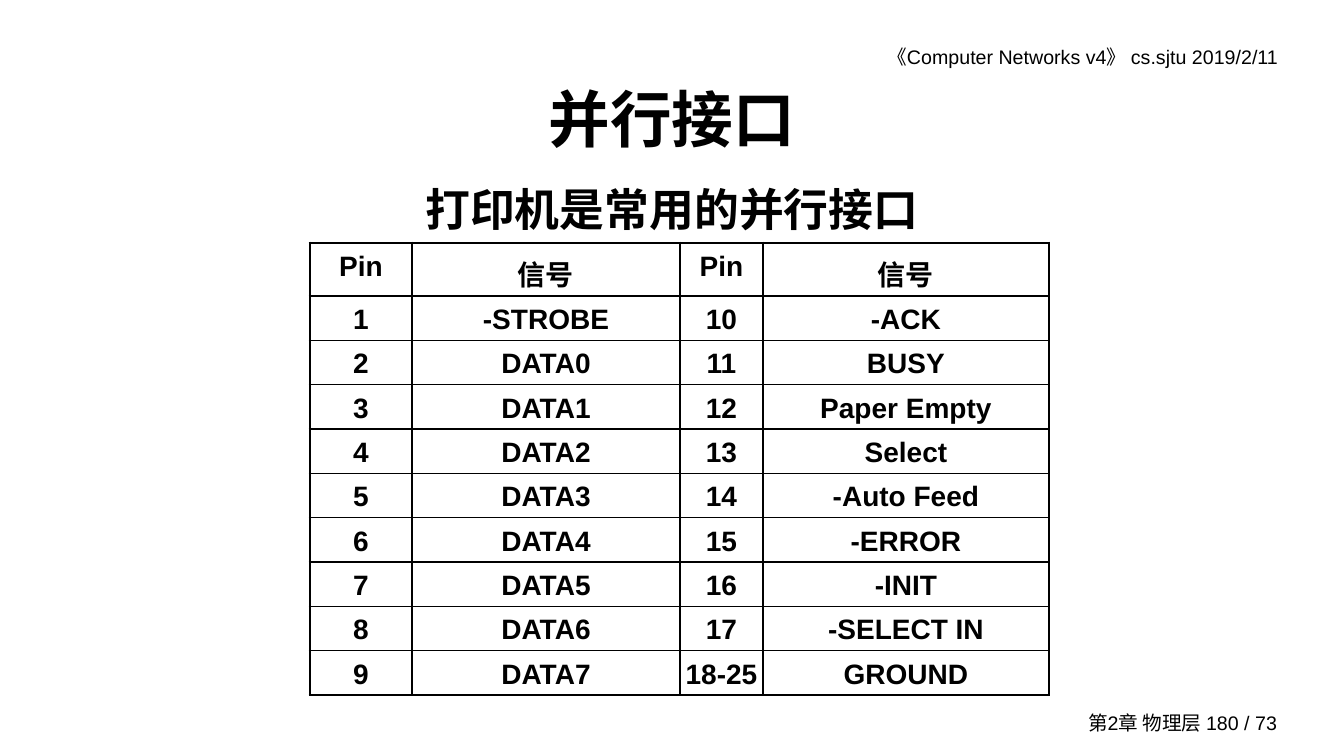
from lxml.etree import SubElement
from pptx import Presentation
from pptx.dml.color import RGBColor
from pptx.enum.text import MSO_ANCHOR as Anchor, PP_ALIGN as Align
from pptx.oxml.ns import qn
from pptx.util import Emu, Pt

SLIDE_SIZE = (1344, 756)
FONT = "Arial"
COLORS = {"ink": "000000", "paper": "FFFFFF"}

# text, (left, top, width, height), size, bold, alignment, anchor
TEXTS = [
    ("《Computer Networks v4》 cs.sjtu 2019/2/11", (709, 40, 579, 34),
     14, False, Align.RIGHT, Anchor.TOP),
    ("第2章 物理层 180 / 73", (984, 706, 303, 33),
     14, False, Align.RIGHT, Anchor.MIDDLE),
    ("并行接口", (244, 67, 856, 101), 44, True, Align.CENTER, Anchor.MIDDLE),
    ("打印机是常用的并行接口", (336, 177, 672, 67),
     32, True, Align.CENTER, Anchor.TOP),
]

PINS = [
    ("Pin", "信号", "Pin", "信号"),
    ("1", "-STROBE", "10", "-ACK"),
    ("2", "DATA0", "11", "BUSY"),
    ("3", "DATA1", "12", "Paper Empty"),
    ("4", "DATA2", "13", "Select"),
    ("5", "DATA3", "14", "-Auto Feed"),
    ("6", "DATA4", "15", "-ERROR"),
    ("7", "DATA5", "16", "-INIT"),
    ("8", "DATA6", "17", "-SELECT IN"),
    ("9", "DATA7", "18-25", "GROUND"),
]
TABLE_LEFT, TABLE_TOP = 310, 243
COLUMN_WIDTHS = (102, 268, 83, 286)
HEADER_HEIGHT, ROW_HEIGHT = 53, 44
ROW_HEIGHTS = [HEADER_HEIGHT] + [ROW_HEIGHT] * (len(PINS) - 1)
CELL_MARGIN = 2
OUTER_LINE, INNER_LINE = 2.25, 1


def px(length):
    return Emu(round(length * 914400 / 100.8))


def write(frame, text, size, bold, align):
    para = frame.paragraphs[0]
    para.alignment = align
    span = para.add_run()
    span.text = text
    span.font.name = FONT
    span.font.size = Pt(size)
    span.font.bold = bold
    span.font.color.rgb = RGBColor.from_string(COLORS["ink"])
    return para


def add_text(page, text, place, size, bold, align, anchor):
    box = page.shapes.add_textbox(*map(px, place))
    box.text_frame.word_wrap = True
    box.text_frame.vertical_anchor = anchor
    write(box.text_frame, text, size, bold, align)


def draw_borders(cell, row, column):
    """Thick lines on the table's rim, thin lines inside."""
    on_rim = {
        "a:lnL": column == 0,
        "a:lnR": column == len(COLUMN_WIDTHS) - 1,
        "a:lnT": row == 0,
        "a:lnB": row == len(PINS) - 1,
    }
    properties = cell._tc.get_or_add_tcPr()
    for side, thick in on_rim.items():
        width = Pt(OUTER_LINE if thick else INNER_LINE)
        line = SubElement(properties, qn(side), w=str(int(width)))
        fill = SubElement(line, qn("a:solidFill"))
        SubElement(fill, qn("a:srgbClr"), val=COLORS["ink"])


def add_pin_table(page):
    table = page.shapes.add_table(
        len(PINS), len(COLUMN_WIDTHS), px(TABLE_LEFT), px(TABLE_TOP),
        px(sum(COLUMN_WIDTHS)), px(sum(ROW_HEIGHTS))).table
    table.first_row = table.horz_banding = False
    for column, width in zip(table.columns, COLUMN_WIDTHS):
        column.width = px(width)
    for r, (values, height) in enumerate(zip(PINS, ROW_HEIGHTS)):
        table.rows[r].height = px(height)
        for c, value in enumerate(values):
            cell = table.cell(r, c)
            cell.margin_left = cell.margin_right = px(CELL_MARGIN)
            cell.margin_top = cell.margin_bottom = px(CELL_MARGIN)
            para = write(cell.text_frame, value, 20, True, Align.CENTER)
            para.line_spacing = 1.2
            draw_borders(cell, r, c)
            cell.fill.background()


def main():
    deck = Presentation()
    deck.slide_width, deck.slide_height = map(px, SLIDE_SIZE)
    page = deck.slides.add_slide(deck.slide_layouts[6])
    page.background.fill.solid()
    page.background.fill.fore_color.rgb = RGBColor.from_string(COLORS["paper"])
    for item in TEXTS:
        add_text(page, *item)
    add_pin_table(page)
    deck.save("out.pptx")


if __name__ == "__main__":
    main()
